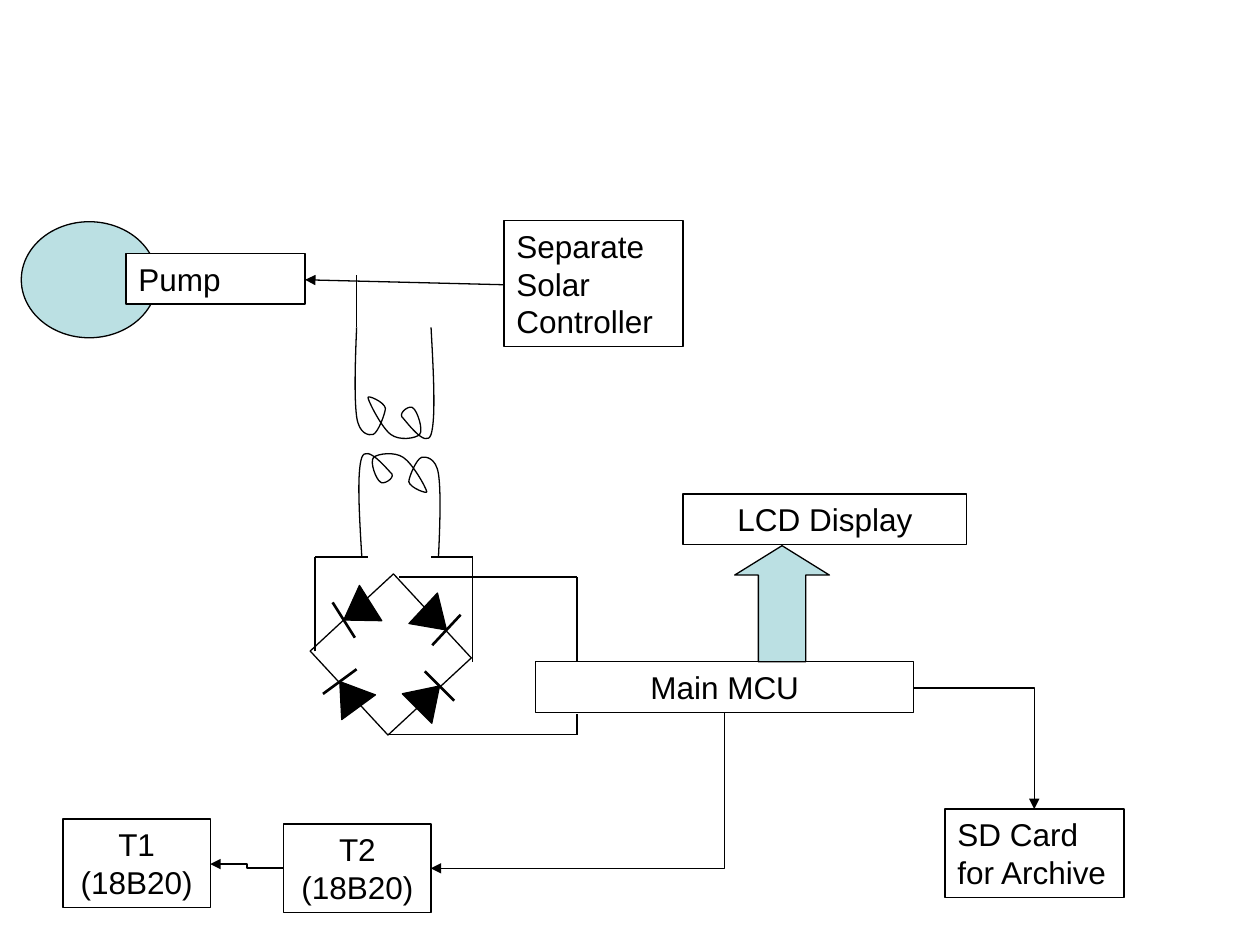
"""Build the wiring diagram slide of a solar pump monitor."""
from dataclasses import dataclass
from math import cos, radians, sin

from lxml.etree import SubElement
from pptx import Presentation
from pptx.dml.color import RGBColor
from pptx.enum.shapes import MSO_CONNECTOR as LINK, MSO_SHAPE as SHAPE
from pptx.enum.text import MSO_ANCHOR, MSO_AUTO_SIZE, PP_ALIGN
from pptx.oxml.ns import qn
from pptx.util import Cm, Pt


@dataclass(frozen=True)
class Theme:
    ink: RGBColor = RGBColor(0, 0, 0)
    paper: RGBColor = RGBColor(255, 255, 255)
    aqua: RGBColor = RGBColor(0xBB, 0xE0, 0xE3)
    font: str = "Arial"
    size: float = 18
    thin: float = 0.75
    thick: float = 1.5


class Board:
    def __init__(self, slide, theme):
        self.slide, self.theme = slide, theme
        self.shapes = slide.shapes

    def paint(self, shape, fill=None):
        shape.shadow.inherit = False
        if fill is None:
            shape.fill.background()
        else:
            shape.fill.solid()
            shape.fill.fore_color.rgb = fill
        shape.line.color.rgb = self.theme.ink
        shape.line.width = Pt(self.theme.thin)
        return shape

    def solid(self, kind, x, y, w, h, fill=None, turn=0):
        shape = self.shapes.add_shape(kind, Cm(x), Cm(y), Cm(w), Cm(h))
        shape.rotation = turn
        return self.paint(shape, fill)

    def label(self, text, x, y, w, h, fill=None, align=PP_ALIGN.CENTER):
        frame = self.solid(SHAPE.RECTANGLE, x, y, w, h, fill).text_frame
        frame.text = text
        frame.word_wrap = True
        frame.auto_size = MSO_AUTO_SIZE.SHAPE_TO_FIT_TEXT
        frame.vertical_anchor = MSO_ANCHOR.TOP
        para = frame.paragraphs[0]
        para.alignment = align
        font = para.runs[0].font
        font.name, font.size = self.theme.font, Pt(self.theme.size)
        font.color.rgb = self.theme.ink

    def line(self, start, end, arrow=False, kind=LINK.STRAIGHT, width=None):
        link = self.shapes.add_connector(kind, *map(Cm, start + end))
        link.line.color.rgb = self.theme.ink
        link.line.width = Pt(width or self.theme.thin)
        props = link._element.spPr
        if arrow:
            SubElement(props.find(qn("a:ln")), qn("a:tailEnd"), type="triangle")
        SubElement(props, qn("a:effectLst"))
        return props

    def corner(self, start, end, turn=0):
        props = self.line(start, end, True, LINK.ELBOW)
        props.find(qn("a:prstGeom")).set("prst", "bentConnector2")
        props.find(qn("a:xfrm")).set("rot", str(turn * 60000))

    def wire(self, *points):
        for start, end in zip(points, points[1:]):
            self.line(start, end)

    def outline(self, points, close=False, fill=None):
        spots = [(Cm(x), Cm(y)) for x, y in points]
        pen = self.shapes.build_freeform(*spots[0], scale=1.0)
        pen.add_line_segments(spots[1:], close=close)
        return self.paint(pen.convert_to_shape(), fill)

    def coil(self, x, y, wide=1.0, high=1.0):
        shape = self.outline([(x + dx * wide, y + dy * high) for dx, dy in COIL])
        track = shape._element.find(".//" + qn("a:path"))
        steps = track.findall(qn("a:lnTo"))
        for i in range(0, len(steps), 3):
            curve = SubElement(track, qn("a:cubicBezTo"))
            for step in steps[i:i + 3]:
                curve.append(step[0])
                track.remove(step)

    def diode(self, x, y, angle, depth=0.64, half=0.42):
        ux, uy = cos(radians(angle)), sin(radians(angle))

        def spot(along, across):
            return x + along * ux - across * uy, y + along * uy + across * ux

        self.outline([spot(0, 0), spot(-depth, half), spot(-depth, -half)],
                     True, self.theme.ink)
        self.line(spot(0, -half), spot(0, half), width=self.theme.thick)

    def bridge(self):
        self.shapes = self.slide.shapes.add_group_shape().shapes
        for diode in DIODES:
            self.diode(*diode)
        self.solid(SHAPE.RECTANGLE, 6.73, 12.04, 2.29, 2.31, turn=137.2)
        self.shapes = self.slide.shapes


COIL = [
    (0, 0),
    (-0.03, 0.71), (-0.05, 1.42), (0, 1.8),
    (0.05, 2.16), (0.25, 2.18), (0.33, 2.16),
    (0.43, 2.13), (0.58, 1.73), (0.58, 1.63),
    (0.56, 1.5), (0.2, 1.35), (0.23, 1.42),
    (0.25, 1.52), (0.51, 2.03), (0.69, 2.16),
    (0.86, 2.29), (1.19, 2.24), (1.27, 2.16),
    (1.35, 2.06), (1.22, 1.68), (1.14, 1.63),
    (1.09, 1.55), (0.86, 1.7), (0.91, 1.8),
    (0.99, 1.88), (1.4, 2.46), (1.5, 2.16),
    (1.6, 1.85), (1.55, 0.91), (1.5, 0),
]
DIODES = [(9, 12.7, 43), (8.86, 13.83, -45.1),
          (6.93, 12.5, 147.7), (6.85, 13.74, 233.8)]
WIRES = [
    [(6.35, 13.13), (6.35, 11.23), (7.42, 11.23)],
    [(9.53, 13.34), (9.53, 11.23), (8.69, 11.23)],
    [(8.05, 11.63), (11.63, 11.63), (11.63, 13.34)],
    [(7.82, 14.81), (11.63, 14.81), (11.63, 14.4)],
]


def main():
    deck = Presentation()
    deck.slide_width, deck.slide_height = Cm(25.4), Cm(19.05)
    theme = Theme()
    board = Board(deck.slides.add_slide(deck.slide_layouts[6]), theme)
    left = PP_ALIGN.LEFT

    board.label("Main MCU", 10.8, 13.34, 7.62, 1.02, theme.paper)
    board.solid(SHAPE.OVAL, 0.43, 4.47, 2.74, 2.34, theme.aqua)
    board.label("Pump", 2.54, 5.11, 3.61, 1.02, theme.paper, left)
    board.label("Separate Solar Controller", 10.16, 4.45, 3.61, 2.54, align=left)
    board.line((10.16, 5.74), (6.15, 5.64), True)

    board.coil(7.19, 6.6)
    board.coil(8.84, 11.23, -1.03, -0.93)
    board.line((7.19, 6.6), (7.19, 5.54))

    board.label("T1 (18B20)", 1.27, 16.51, 2.97, 1.78)
    board.label("T2 (18B20)", 5.72, 16.61, 2.97, 1.78)
    board.corner((10.08, 12.98), (13.21, 18.9), 90)
    board.line((5.72, 17.5), (4.24, 17.42), True, LINK.ELBOW)

    board.bridge()
    for points in WIRES:
        board.wire(*points)

    board.label("LCD Display", 13.77, 9.96, 5.72, 1.02)
    arrow = board.solid(SHAPE.DOWN_ARROW, 14.81, 11, 1.91, 2.34, theme.aqua, 180)
    arrow.adjustments[1] = 0.31
    board.label("SD Card for Archive", 19.05, 16.31, 3.61, 1.78, align=left)
    board.corner((18.42, 13.87), (20.85, 16.31))
    deck.save("out.pptx")


if __name__ == "__main__":
    main()
